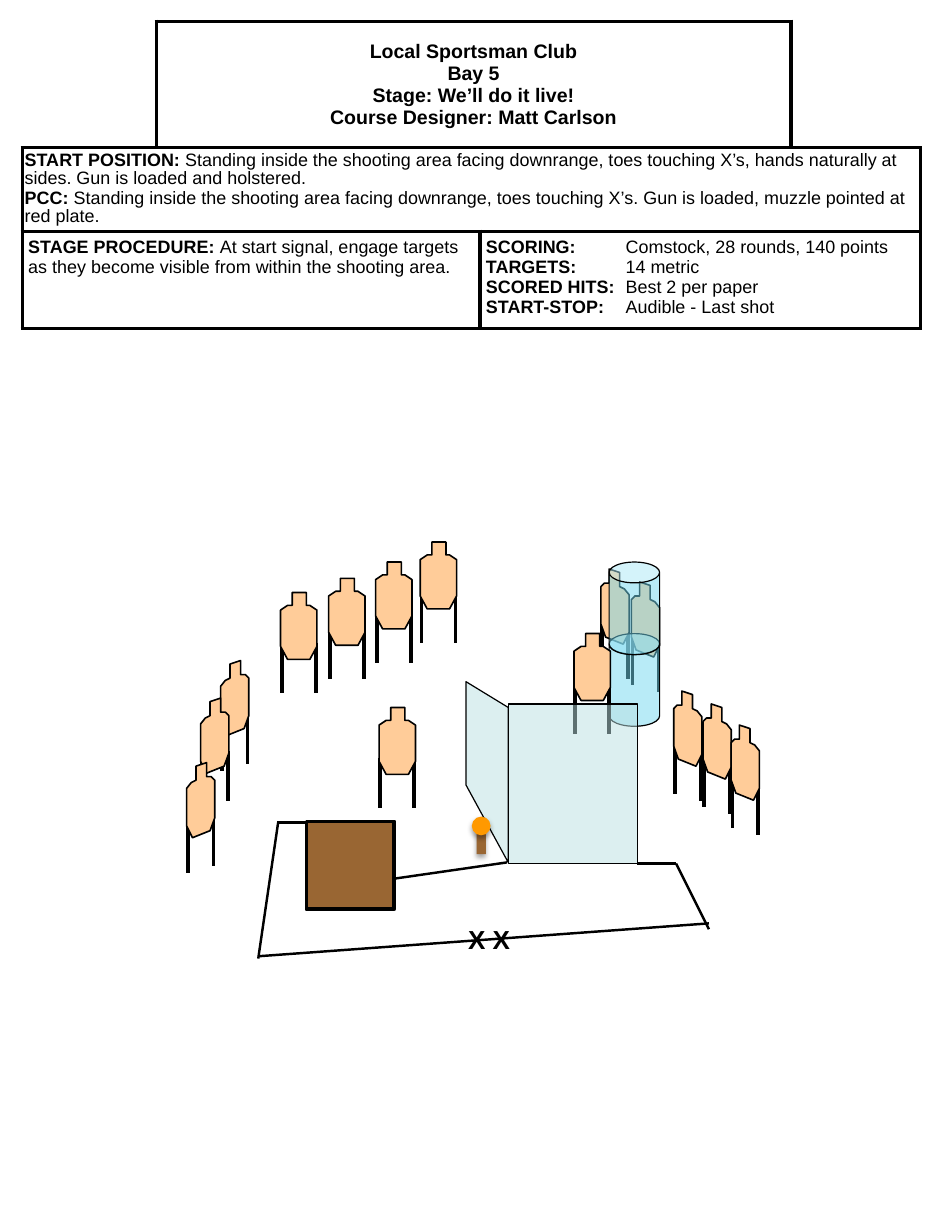
"""Build a shooting stage briefing: rules table above a drawing of the bay."""
from lxml import etree
from pptx import Presentation
from pptx.dml.color import RGBColor
from pptx.enum import shapes, text
from pptx.oxml import ns
from pptx.util import Inches, Pt

BLACK, WHITE = RGBColor(0, 0, 0), RGBColor(255, 255, 255)
TAN, BROWN = RGBColor(0xFF, 0xCC, 0x99), RGBColor(0x99, 0x66, 0x33)
ORANGE = RGBColor(0xFF, 0x99, 0x00)
BARREL, MESH = RGBColor(0x73, 0xD9, 0xF1), RGBColor(0xBB, 0xE0, 0xE3)

TITLE = ["Local Sportsman Club", "Bay 5", "Stage: We’ll do it live!",
         "Course Designer: Matt Carlson"]
START = [
    ("START POSITION:", " Standing inside the shooting area facing downrange, toes touching X’s, "
     "hands naturally at sides. Gun is loaded and holstered."),
    ("PCC:", " Standing inside the shooting area facing downrange, toes touching X’s. "
     "Gun is loaded, muzzle pointed at red plate."),
]
PROCEDURE = [("STAGE PROCEDURE: ", "At start signal, engage targets as they become visible "
              "from within the shooting area.")]
SCORING = [
    ("SCORING:", "\tComstock, 28 rounds, 140 points"),
    ("TARGETS:", "\t14 metric"),
    ("SCORED HITS:", "\tBest 2 per paper"),
    ("START-STOP:", "\tAudible - Last shot"),
]
COLUMNS, ROWS = [1.14, 2.76, 2.65, 1.1], [1.08, 0.71, 0.83]
VALUE_TAB = 1.19
CELLS = [
    dict(row=0, first=0, last=0, sides="RB", lines=[]),
    dict(row=0, first=1, last=2, sides="LRTB", lines=[(line, "") for line in TITLE],
         size=12, align=text.PP_ALIGN.CENTER, anchor=text.MSO_ANCHOR.MIDDLE),
    dict(row=0, first=3, last=3, sides="LB", lines=[]),
    dict(row=1, first=0, last=3, sides="LRTB", lines=START, inset=(0.02, 0.04),
         spacing=0.9, before=1.1),
    dict(row=2, first=0, last=1, sides="LRTB", lines=PROCEDURE),
    dict(row=2, first=2, last=3, sides="LRTB", lines=SCORING),
]

RIGHT_BODY = [(0.16, 0.03), (0.07, 0), (0.07, 0.12), (0.03, 0.12), (0, 0.15), (0, 0.47),
              (0.04, 0.58), (0.19, 0.64), (0.24, 0.54), (0.24, 0.22), (0.2, 0.17), (0.16, 0.15)]
RIGHT_LEGS = [(0.23, 0.51), (0.01, 0.45)]
TARGETS = {
    "right": (RIGHT_BODY, RIGHT_LEGS),
    "left": tuple([(0.24 - x, y) for x, y in part] for part in (RIGHT_BODY, RIGHT_LEGS)),
    "front": ([(0.1, 0), (0.22, 0), (0.22, 0.11), (0.25, 0.11), (0.31, 0.15), (0.31, 0.46),
               (0.25, 0.57), (0.06, 0.57), (0, 0.46), (0, 0.15), (0.06, 0.11), (0.1, 0.11)],
              [(0.01, 0.43), (0.3, 0.43)]),
}
LEG_LENGTH = 0.43
BEHIND_BARRELS = [("left", 1.88, 5.63), ("left", 1.71, 5.95),
                  ("right", 5.38, 4.96), ("right", 5.12, 4.85)]
BEHIND_WALL = [("right", 5.74, 5.89), ("right", 5.99, 6), ("right", 6.23, 6.18),
               ("front", 4.89, 5.4)]
IN_FRONT = [("left", 1.59, 6.5), ("front", 3.23, 6.03), ("front", 3.58, 4.62),
            ("front", 3.2, 4.79), ("front", 2.39, 5.05), ("front", 2.8, 4.93)]
BARRELS = [(5.19, 5.4, 0.43, 0.79), (5.19, 4.79, 0.43, 0.79)]
FAULT_LINES = [(2.37, 7.01, 2.2, 8.17), (2.2, 8.15, 6.04, 7.87), (2.36, 7.01, 2.61, 7.01),
               (6.04, 7.92, 5.76, 7.36), (3.35, 7.49, 4.32, 7.35), (5.43, 7.36, 5.76, 7.36)]
SIDE_WALL = [(3.97, 6.69), (4.33, 7.35), (4.33, 6.03), (3.97, 5.81)]
FRONT_WALL = [(5.43, 7.36), (4.33, 7.36), (4.33, 6), (5.43, 6)]


def add_xml(parent, tag, **values):
    child = etree.SubElement(parent, ns.qn(tag))
    for key, value in values.items():
        child.set(key, str(value))
    return child


def paint(shape, fill, width=None, opaque=True):
    shape.shadow.inherit = False
    shape.fill.solid()
    shape.fill.fore_color.rgb = fill
    if not opaque:
        color = shape._element.spPr.find(ns.qn("a:solidFill"))[0]
        add_xml(color, "a:alpha", val=50000)
    if width is None:
        shape.line.fill.background()
    else:
        shape.line.color.rgb = BLACK
        shape.line.width = Pt(width)


def add_line(parent, ends, width):
    line = parent.add_connector(shapes.MSO_CONNECTOR.STRAIGHT, *map(Inches, ends))
    line.line.color.rgb = BLACK
    line.line.width = Pt(width)
    add_xml(line._element.spPr, "a:effectLst")


def add_outline(parent, points, fill, width, opaque=True):
    corners = [(Inches(x), Inches(y)) for x, y in points]
    builder = parent.build_freeform(*corners[0], scale=1.0)
    builder.add_line_segments(corners[1:], close=True)
    paint(builder.convert_to_shape(), fill, width, opaque)


def add_preset(parent, kind, box, *style):
    shape = parent.add_shape(kind, *map(Inches, box))
    paint(shape, *style)
    return shape


def add_targets(parent, targets):
    for kind, left, top in targets:
        body, legs = TARGETS[kind]
        target = parent.add_group_shape().shapes
        for x, y in legs:
            add_line(target, (left + x, top + y, left + x, top + y + LEG_LENGTH), 2.25)
        add_outline(target, [(left + x, top + y) for x, y in body], TAN, 1)


def set_font(font, size, bold):
    for key, value in dict(name="Arial", size=Pt(size), bold=bold).items():
        setattr(font, key, value)
    font.color.rgb = BLACK


def set_borders(cell, sides):
    properties = cell._tc.get_or_add_tcPr()
    for index, side in enumerate("LRTB"):
        border = etree.Element(ns.qn("a:ln" + side), w=str(Pt(2.25)))
        properties.insert(index, border)
        if side in sides:
            add_xml(add_xml(border, "a:solidFill"), "a:srgbClr", val=BLACK)
        else:
            add_xml(border, "a:noFill")


def fill_cell(cell, lines, size=11, align=text.PP_ALIGN.LEFT, anchor=text.MSO_ANCHOR.TOP,
              inset=(0.05, 0.05), spacing=1.0, before=0):
    side, end = map(Inches, inset)
    for key, value in dict(margin_left=side, margin_right=side, margin_top=end,
                           margin_bottom=end, vertical_anchor=anchor).items():
        setattr(cell, key, value)
    for index, (label, value) in enumerate(lines):
        frame = cell.text_frame
        paragraph = frame.add_paragraph() if index else frame.paragraphs[0]
        paragraph.alignment, paragraph.line_spacing = align, spacing
        paragraph.space_before = Pt(before if index else 0)
        if value.startswith("\t"):
            tabs = add_xml(paragraph._p.get_or_add_pPr(), "a:tabLst")
            add_xml(tabs, "a:tab", pos=Inches(VALUE_TAB), algn="l")
        for words, bold in ((label, True), (value, False)):
            if words:
                run = paragraph.add_run()
                run.text = words
                set_font(run.font, size, bold)


def add_rules(parent):
    box = map(Inches, (0.19, 0.18, sum(COLUMNS), sum(ROWS)))
    rules = parent.add_table(len(ROWS), len(COLUMNS), *box).table
    rules.first_row = rules.horz_banding = False
    for column, width in zip(rules.columns, COLUMNS):
        column.width = Inches(width)
    for row, height in zip(rules.rows, ROWS):
        row.height = Inches(height)
    for entry in CELLS:
        row, first, last, sides = (entry[key] for key in ("row", "first", "last", "sides"))
        style = {k: v for k, v in entry.items() if k not in ("row", "first", "last", "sides")}
        for column in range(first, last + 1):
            cell = rules.cell(row, column)
            cell.fill.solid()
            cell.fill.fore_color.rgb = WHITE
            set_borders(cell, sides)
        if last > first:
            rules.cell(row, first).merge(rules.cell(row, last))
        fill_cell(rules.cell(row, first), **style)


def add_plate(parent):
    plate = parent.add_group_shape().shapes
    for kind, box, fill in ((shapes.MSO_SHAPE.RECTANGLE, (4.06, 7.06, 0.08, 0.22), BROWN),
                            (shapes.MSO_SHAPE.OVAL, (4.02, 6.96, 0.16, 0.16), ORANGE)):
        part = add_preset(plate, kind, box, fill)
        effects = part._element.spPr.find(ns.qn("a:effectLst"))
        shadow = add_xml(effects, "a:outerShdw", blurRad=Pt(3.1), dist=Pt(1.8), dir=5400000)
        add_xml(add_xml(shadow, "a:srgbClr", val=BLACK), "a:alpha", val=35000)


def main():
    deck = Presentation()
    deck.slide_width, deck.slide_height = Inches(8), Inches(10.5)
    bay = deck.slides.add_slide(deck.slide_layouts[6]).shapes
    add_targets(bay, BEHIND_BARRELS)
    stack = bay.add_group_shape().shapes
    for box in BARRELS:
        add_preset(stack, shapes.MSO_SHAPE.CAN, box, BARREL, 0.75, False).adjustments[0] = 0.413
    for ends in FAULT_LINES:
        add_line(bay, ends, 1.5)
    add_preset(bay, shapes.MSO_SHAPE.RECTANGLE, (2.61, 7, 0.75, 0.75), BROWN, 2.25)
    add_rules(bay)
    add_outline(bay, SIDE_WALL, MESH, 0.75, False)
    marks = bay.add_textbox(*map(Inches, (3.89, 7.82, 0.58, 0.37))).text_frame
    marks.word_wrap, marks.auto_size = False, text.MSO_AUTO_SIZE.SHAPE_TO_FIT_TEXT
    marks.text = "X X"
    set_font(marks.paragraphs[0].runs[0].font, 16, True)
    add_targets(bay, BEHIND_WALL)
    add_outline(bay, FRONT_WALL, MESH, 0.75, False)
    add_targets(bay, IN_FRONT)
    add_plate(bay)
    deck.save("out.pptx")


if __name__ == "__main__":
    main()
